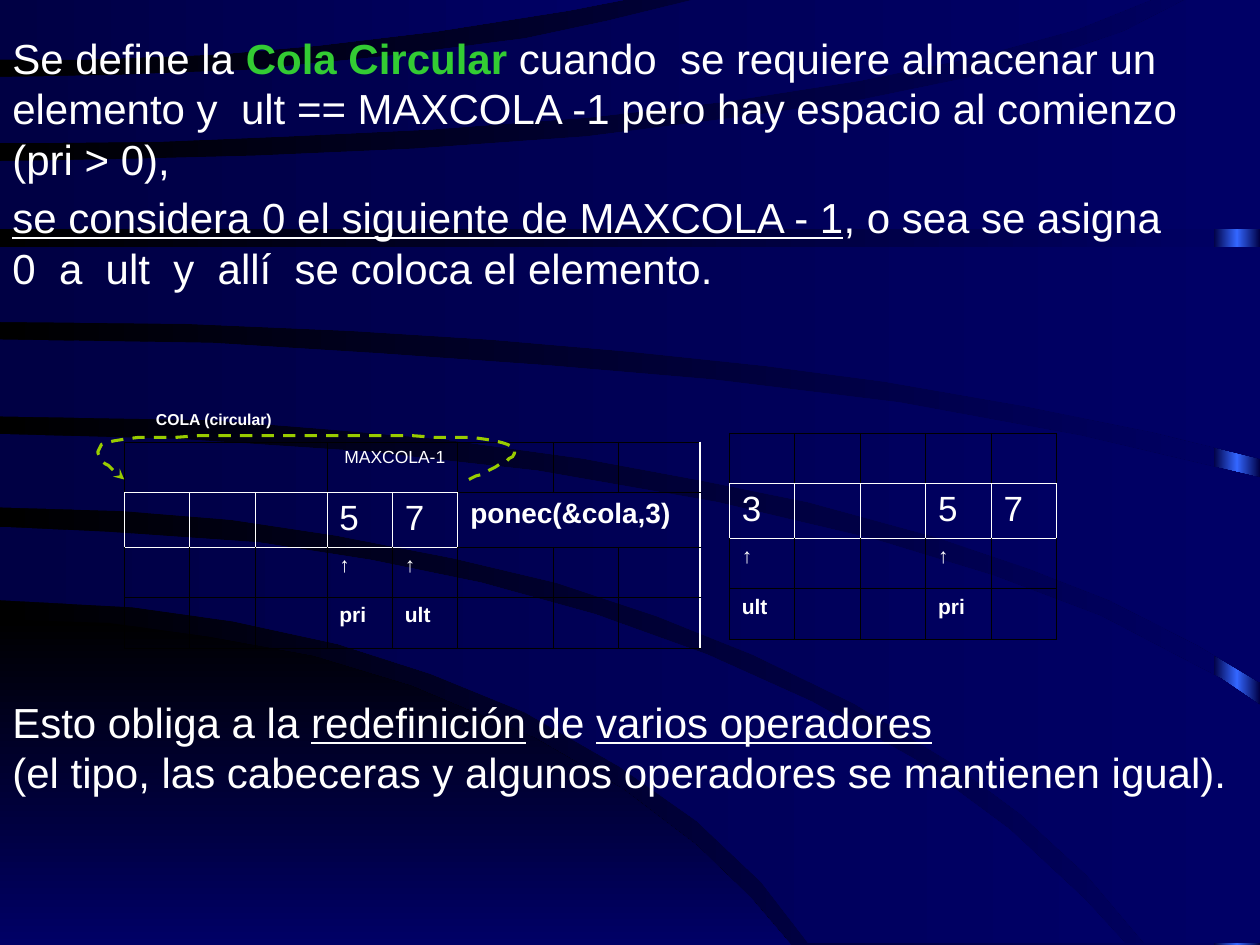
from dataclasses import dataclass, field

from lxml.etree import SubElement
from pptx import Presentation
from pptx.dml.color import RGBColor
from pptx.enum.dml import MSO_LINE
from pptx.enum.shapes import MSO_SHAPE
from pptx.enum.text import MSO_AUTO_SIZE, PP_ALIGN
from pptx.oxml.ns import qn
from pptx.util import Pt

WHITE, BLACK, GREEN, LIME = "FFFFFF", "000000", "33CC33", "99CC00"
NAVY, MIDNIGHT, GLOW = "000066", "000044", "3366FF"
QUEUE_ROW, QUEUE_SIZE = 1, 5
ROW_HEIGHTS = (19.5, 31, 21.5, 21.5)


@dataclass
class Span:
    text: str
    size: float = 24
    color: str = WHITE
    bold: bool = False
    underline: bool = False
    breaks_before: bool = False


@dataclass
class Passage:
    left: float
    top: float
    width: float
    height: float
    spans: list[Span]


@dataclass
class Queue:
    left: float
    top: float
    columns: tuple
    labels: dict[tuple[int, int], Span]
    merges: list = field(default_factory=list)


def rgb(code: str) -> RGBColor:
    return RGBColor.from_string(code)


def paint_gradient(fill, owner, colors: tuple, angle: int = 0) -> None:
    """Spread the colours evenly; the angle runs clockwise."""
    fill.gradient()
    fill.gradient_angle = -angle % 360
    stops = next(owner.iter(qn("a:gsLst")))
    stops.clear()
    for i, color in enumerate(colors):
        stop = SubElement(stops, qn("a:gs"), pos=str(100000 * i // (len(colors) - 1)))
        SubElement(stop, qn("a:srgbClr"), val=color)


def draw_outline(slide, points: list, close: bool = True):
    builder = slide.shapes.build_freeform(*points[0], scale=Pt(1))
    builder.add_line_segments(points[1:], close=close)
    outline = builder.convert_to_shape()
    outline.shadow.inherit = False
    return outline


def draw_band(slide, points: list, colors: tuple = (MIDNIGHT, NAVY), angle: int = 0) -> None:
    band = draw_outline(slide, points)
    paint_gradient(band.fill, band._element, colors, angle)
    band.line.fill.background()


def bezier(start, control_1, control_2, end, steps: int = 16) -> list:
    def at(t: float, a, b, c, d) -> float:
        u = 1 - t
        return u**3 * a + 3 * u * u * t * b + 3 * u * t * t * c + t**3 * d

    return [tuple(at(i / steps, *axis) for axis in zip(start, control_1, control_2, end))
            for i in range(1, steps + 1)]


def add_span(paragraph, span: Span) -> None:
    if span.breaks_before:
        paragraph.add_line_break()
    run = paragraph.add_run()
    run.text = span.text
    run.font.name, run.font.size = "Arial", Pt(span.size)
    run.font.bold, run.font.underline = span.bold, span.underline
    run.font.color.rgb = rgb(span.color)


def draw_passage(slide, passage: Passage) -> None:
    place = (passage.left, passage.top, passage.width, passage.height)
    frame = slide.shapes.add_textbox(*map(Pt, place)).text_frame
    frame.word_wrap = True
    frame.auto_size = MSO_AUTO_SIZE.SHAPE_TO_FIT_TEXT
    for span in passage.spans:
        add_span(frame.paragraphs[0], span)


def draw_borders(cell, row: int, column: int, open_right: bool) -> None:
    """White around the queue's cells, black everywhere else."""
    def in_queue(r: int, c: int) -> bool:
        return r == QUEUE_ROW and c < QUEUE_SIZE

    neighbours = {"L": (row, column - 1), "R": (row, column + 1),
                  "T": (row - 1, column), "B": (row + 1, column)}
    for side, neighbour in neighbours.items():
        if side == "R" and open_right:
            continue
        white = in_queue(row, column) or (neighbour[1] >= 0 and in_queue(*neighbour))
        line = SubElement(cell._tc.get_or_add_tcPr(), qn(f"a:ln{side}"),
                          w=str(Pt(0.45 if white else 0.34)))
        solid = SubElement(line, qn("a:solidFill"))
        SubElement(solid, qn("a:srgbClr"), val=WHITE if white else BLACK)


def draw_queue(slide, queue: Queue) -> None:
    count = len(queue.columns)
    table = slide.shapes.add_table(
        len(ROW_HEIGHTS), count, Pt(queue.left), Pt(queue.top),
        Pt(sum(queue.columns)), Pt(sum(ROW_HEIGHTS))).table
    table.first_row = table.horz_banding = False
    for column, width in zip(table.columns, queue.columns):
        column.width = Pt(width)
    for row, height in zip(table.rows, ROW_HEIGHTS):
        row.height = Pt(height)
    for first, last in queue.merges:
        table.cell(*first).merge(table.cell(*last))
    for r in range(len(ROW_HEIGHTS)):
        for c in range(count):
            cell = table.cell(r, c)
            if not cell.is_spanned:
                reach = c + (cell.span_width if cell.is_merge_origin else 1)
                draw_borders(cell, r, c, reach == count > QUEUE_SIZE)
            cell.fill.background()
            if (r, c) in queue.labels:
                paragraph = cell.text_frame.paragraphs[0]
                add_span(paragraph, queue.labels[r, c])
                if r == 0:
                    paragraph.alignment = PP_ALIGN.RIGHT


def pointer(column: int, name: str) -> dict:
    return {(2, column): Span("↑", 12, bold=True), (3, column): Span(name, 12, bold=True)}


HILL = [(0, 354), (62, 356), (119, 364), (179, 375), (235, 392), (306, 422), (356, 451),
        (398, 483), (429, 513), (452, 540), (0, 540)]
BANDS = [
    [(0, 301), (62, 304), (148, 310), (212, 320), (275, 333), (340, 351), (404, 374), (464, 401),
     (523, 434), (577, 474), (620, 514), (643, 539), (462, 539), (435, 504), (398, 469), (354, 438),
     (300, 407), (246, 385), (193, 368), (133, 355), (76, 347), (0, 343)],
    [(0, 248), (104, 251), (208, 258), (307, 269), (410, 287), (499, 308), (568, 329), (629, 352),
     (698, 388), (720, 403), (720, 539), (654, 539), (621, 500), (583, 465), (544, 436), (488, 402),
     (430, 374), (375, 352), (318, 333), (259, 319), (192, 306), (132, 297), (70, 292), (0, 290)],
    [(0, 194), (121, 196), (217, 202), (315, 209), (408, 217), (514, 230), (618, 249), (720, 273),
     (720, 390), (685, 369), (634, 343), (588, 325), (535, 307), (462, 287), (403, 275), (333, 262),
     (253, 251), (184, 245), (120, 240), (0, 238)],
    [(0, 141), (720, 141), (720, 262), (659, 247), (585, 232), (505, 218), (437, 209), (361, 201),
     (280, 194), (200, 189), (106, 185), (0, 184)],
    [(0, 92), (67, 91), (146, 89), (237, 85), (335, 78), (430, 66), (492, 57), (555, 44),
     (601, 32), (642, 18), (679, -1), (720, -1), (720, 131), (0, 131)],
    [(0, 44), (63, 43), (142, 40), (222, 32), (300, 22), (347, 12), (400, -1), (660, -1), (615, 17),
     (556, 33), (492, 46), (415, 58), (338, 67), (246, 74), (163, 78), (91, 81), (0, 82)],
    [(0, -1), (361, -1), (325, 6), (249, 18), (182, 26), (125, 31), (48, 34), (0, 34)],
]
DEFINITION = Passage(0, 15, 705.5, 93.5, [
    Span("Se define la "), Span("Cola Circular", color=GREEN, bold=True),
    Span(" cuando  se requiere almacenar un elemento y  ult == MAXCOLA -1 "
         "pero hay espacio al comienzo (pri > 0),")])
CONSEQUENCE = Passage(0, 394.5, 711.5, 65, [
    Span("Esto obliga a la "), Span("redefinición", underline=True), Span(" de "),
    Span("varios operadores", underline=True),
    Span("(el tipo, las cabeceras y algunos operadores se mantienen igual).", breaks_before=True)])
WRAP_RULE = Passage(0, 106, 674.5, 65, [
    Span("se considera 0 el siguiente de MAXCOLA - 1", underline=True),
    Span(", o sea se asigna 0  a  ult  y  allí  se coloca el elemento.")])
CAPTION = Passage(82, 230.5, 85, 18, [Span("COLA (circular)", 9, bold=True)])
BEFORE = Queue(
    71, 252.5, (37.4, 37.4, 41, 37.4, 37.4, 54.5, 37.4, 46.5),
    {(0, 3): Span("MAXCOLA-1", 10), (1, 3): Span("5", 20), (1, 4): Span("7", 20),
     (1, 5): Span("ponec(&cola,3)", 16, bold=True), **pointer(3, "pri"), **pointer(4, "ult")},
    [((0, 0), (0, 2)), ((0, 3), (0, 4)), ((1, 5), (1, 7))])
AFTER = Queue(
    416.7, 247.5, (37.4,) * QUEUE_SIZE,
    {(1, 0): Span("3", 20), (1, 3): Span("5", 20), (1, 4): Span("7", 20),
     **pointer(0, "ult"), **pointer(3, "pri")})


def draw_loop(slide) -> None:
    """Dashed arrow from the queue's end back to its start."""
    points = [(268, 274)]
    for curve in (((289, 265), (310, 255), (277, 251)),
                  ((244, 248), (106, 248), (71, 251)),
                  ((37, 255), (71, 271), (71, 274))):
        points += bezier(points[-1], *curve)
    loop = draw_outline(slide, points, close=False)
    loop.fill.background()
    loop.line.color.rgb, loop.line.width = rgb(LIME), Pt(1.75)
    loop.line.dash_style = MSO_LINE.DASH
    SubElement(loop.line._get_or_add_ln(), qn("a:tailEnd"), type="stealth")


def main() -> None:
    deck = Presentation()
    deck.slide_width, deck.slide_height = Pt(720), Pt(540)
    slide = deck.slides.add_slide(deck.slide_layouts[6])

    # Backdrop
    paint_gradient(slide.background.fill, slide._element, (BLACK, NAVY))
    edge = slide.shapes.add_shape(MSO_SHAPE.RECTANGLE, Pt(693.5), Pt(0), Pt(26.5), Pt(540))
    edge.shadow.inherit = False
    edge.line.fill.background()
    paint_gradient(edge.fill, edge._element, (MIDNIGHT, GLOW, MIDNIGHT))
    draw_band(slide, HILL, (BLACK, NAVY), 90)
    for band in BANDS:
        draw_band(slide, band)

    # Text and queues
    draw_passage(slide, DEFINITION)
    draw_passage(slide, CONSEQUENCE)
    draw_queue(slide, BEFORE)
    draw_loop(slide)
    draw_queue(slide, AFTER)
    draw_passage(slide, WRAP_RULE)
    draw_passage(slide, CAPTION)

    deck.save("out.pptx")


if __name__ == "__main__":
    main()
